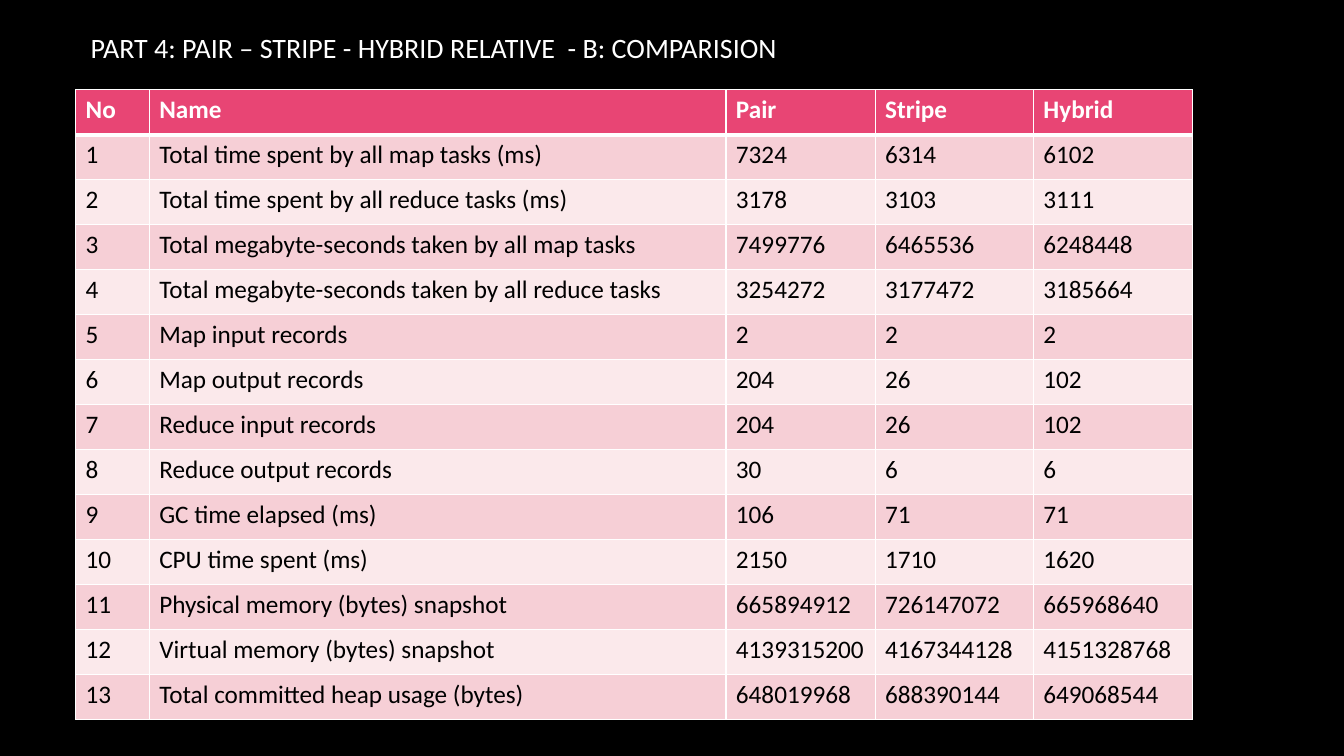
from lxml import etree
from pptx import Presentation
from pptx.dml.color import RGBColor
from pptx.enum import text
from pptx.oxml import ns
from pptx.util import Inches, Pt

HEADING = "PART 4: PAIR – STRIPE - HYBRID RELATIVE  - B: COMPARISION"
COLUMNS = ("No", "Name", "Pair", "Stripe", "Hybrid")
METRICS = [
    ("Total time spent by all map tasks (ms)", 7324, 6314, 6102),
    ("Total time spent by all reduce tasks (ms)", 3178, 3103, 3111),
    ("Total megabyte-seconds taken by all map tasks", 7499776, 6465536, 6248448),
    ("Total megabyte-seconds taken by all reduce tasks", 3254272, 3177472, 3185664),
    ("Map input records", 2, 2, 2),
    ("Map output records", 204, 26, 102),
    ("Reduce input records", 204, 26, 102),
    ("Reduce output records", 30, 6, 6),
    ("GC time elapsed (ms)", 106, 71, 71),
    ("CPU time spent (ms)", 2150, 1710, 1620),
    ("Physical memory (bytes) snapshot", 665894912, 726147072, 665968640),
    ("Virtual memory (bytes) snapshot", 4139315200, 4167344128, 4151328768),
    ("Total committed heap usage (bytes)", 648019968, 688390144, 649068544),
]
COLUMN_WIDTHS = (0.73, 5.72, 1.48, 1.57, 1.58)
TABLE_HEIGHT = 6.25

BLACK = RGBColor(0x00, 0x00, 0x00)
WHITE = RGBColor(0xFF, 0xFF, 0xFF)
ROSE = RGBColor(0xE8, 0x45, 0x74)
PINK = RGBColor(0xF6, 0xCF, 0xD6)
BLUSH = RGBColor(0xFB, 0xE9, 0xEB)

HEADING_FONT = {"name": "Calibri", "size": Pt(20)}
HEADER_FONT = {"name": "Calibri", "size": Pt(18), "bold": True}
BODY_FONT = {"name": "Calibri", "size": Pt(18), "bold": False}


def write(paragraph, words, font, color):
    run = paragraph.add_run()
    run.text = words
    for key, value in font.items():
        setattr(run.font, key, value)
    run.font.color.rgb = color


def add_borders(cell, widths):
    properties = cell._tc.get_or_add_tcPr()
    for side, width in widths.items():
        line = etree.SubElement(properties, ns.qn("a:ln" + side), w=str(Pt(width)))
        fill = etree.SubElement(line, ns.qn("a:solidFill"))
        etree.SubElement(fill, ns.qn("a:srgbClr"), val=str(WHITE))


def add_heading(slide):
    heading = slide.shapes.add_textbox(Inches(0.8), Inches(0.17), Inches(11.59), Inches(0.59))
    heading.text_frame.word_wrap = True
    heading.text_frame.vertical_anchor = text.MSO_ANCHOR.MIDDLE
    write(heading.text_frame.paragraphs[0], HEADING, HEADING_FONT, WHITE)


def add_comparison(slide):
    rows = [COLUMNS] + [(number, *metric) for number, metric in enumerate(METRICS, 1)]
    comparison = slide.shapes.add_table(
        len(rows), len(COLUMNS), Inches(0.75), Inches(0.89),
        Inches(sum(COLUMN_WIDTHS)), Inches(TABLE_HEIGHT)).table
    for column, width in zip(comparison.columns, COLUMN_WIDTHS):
        column.width = Inches(width)
    for r, values in enumerate(rows):
        comparison.rows[r].height = Inches(TABLE_HEIGHT / len(rows))
        font, color = (BODY_FONT, BLACK) if r else (HEADER_FONT, WHITE)
        shade = (PINK if r % 2 else BLUSH) if r else ROSE
        borders = {"L": 1, "R": 1, "T": 3 if r == 1 else 1, "B": 1 if r else 3}
        for c, value in enumerate(values):
            cell = comparison.cell(r, c)
            add_borders(cell, borders)
            cell.fill.solid()
            cell.fill.fore_color.rgb = shade
            write(cell.text_frame.paragraphs[0], str(value), font, color)


def main():
    deck = Presentation()
    deck.slide_width, deck.slide_height = Inches(13.33), Inches(7.5)
    slide = deck.slides.add_slide(deck.slide_layouts[6])
    slide.background.fill.solid()
    slide.background.fill.fore_color.rgb = BLACK
    add_heading(slide)
    add_comparison(slide)
    deck.save("out.pptx")


if __name__ == "__main__":
    main()
